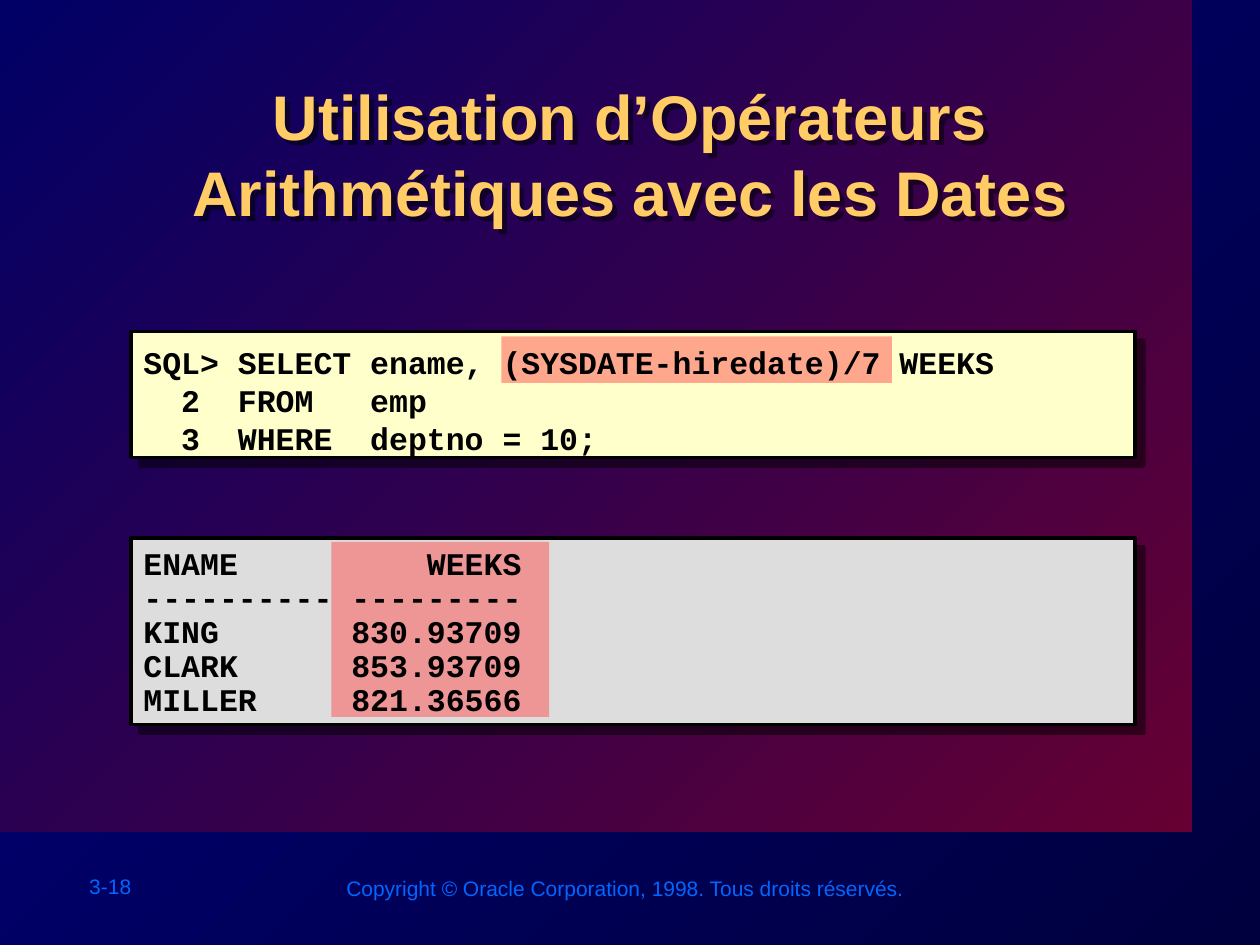
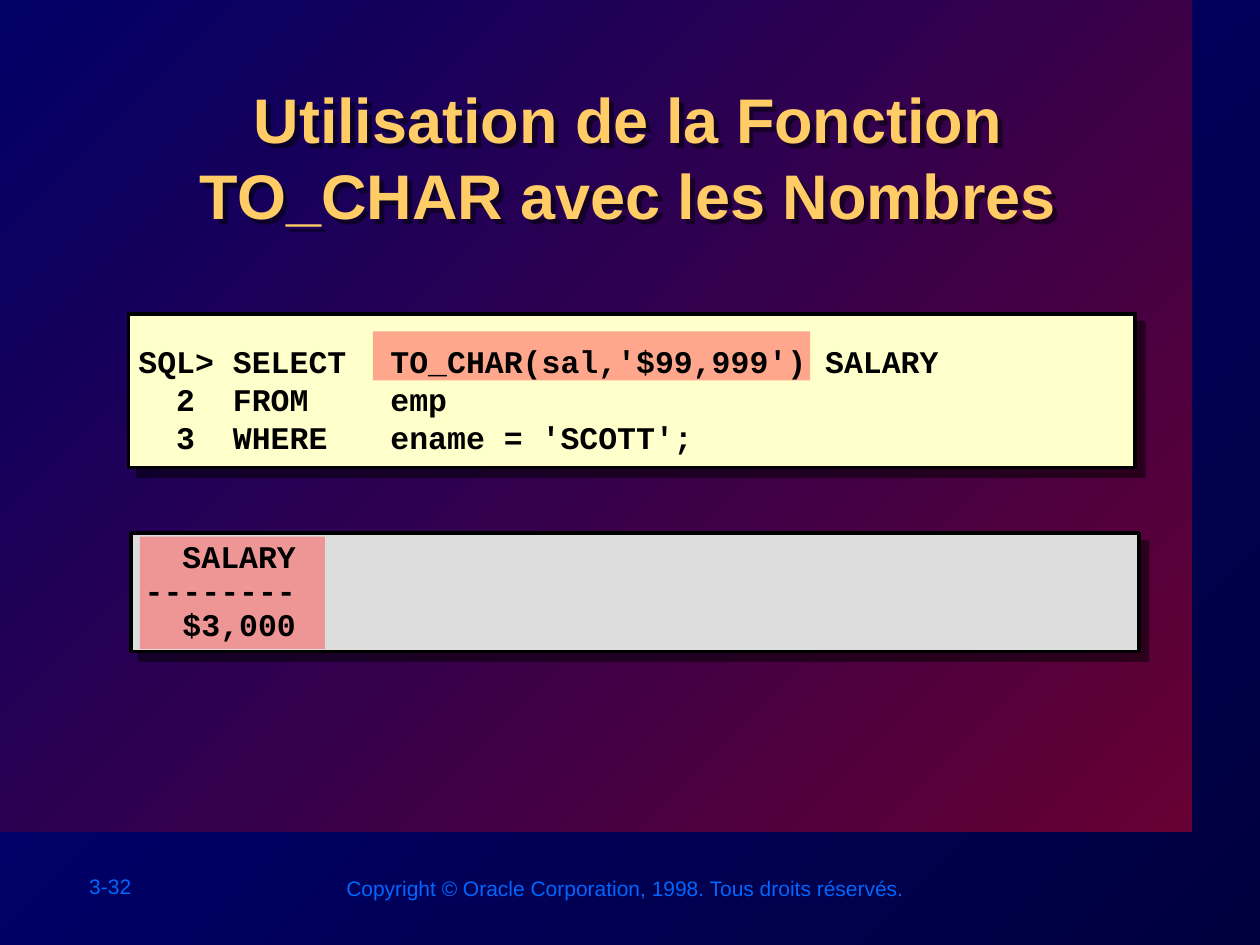
"""Build two SQL course slides: a query above its result, with key parts highlighted."""
from lxml import etree
from pptx import Presentation
from pptx.dml.color import RGBColor
from pptx.enum import shapes, text
from pptx.oxml import ns
from pptx.util import Inches, Pt

NAVY = RGBColor(0x00, 0x00, 0x3F)
BLUE = RGBColor(0x00, 0x00, 0x80)
WINE = RGBColor(0x66, 0x00, 0x33)
INDIGO = RGBColor(0x00, 0x00, 0x66)
FOOTER_BLUE = RGBColor(0x00, 0x66, 0xFF)
GOLD = RGBColor(0xFF, 0xCC, 0x66)
CREAM = RGBColor(0xFF, 0xFF, 0xCC)
GREY = RGBColor(0xDD, 0xDD, 0xDD)
CORAL = RGBColor(0xFF, 0x50, 0x50)
BLACK = RGBColor(0x00, 0x00, 0x00)

COPYRIGHT = "Copyright © Oracle Corporation, 1998. Tous droits réservés."
LINE_HEIGHT = 1.2
SHADOW = (
    '<a:effectLst xmlns:a="http://schemas.openxmlformats.org/drawingml/2006/main">'
    '<a:outerShdw dist="{}" dir="2700000" algn="tl">'
    '<a:srgbClr val="000000"><a:alpha val="50000"/></a:srgbClr>'
    "</a:outerShdw></a:effectLst>"
)

SLIDES = [
    {
        "number": "3-18",
        "title": "Utilisation d’Opérateurs Arithmétiques avec les Dates",
        "title_at": (1.01, 0.57, 7.98, 1.3),
        "query_panel": (1.04, 2.63, 7.97, 1),
        "result_panel": (1.04, 4.27, 7.97, 1.48),
        "highlights": [(3.98, 2.67, 3.1, 0.37), (2.63, 4.3, 1.73, 1.39)],
        "query_at": (1.04, 2.39, 8, 1.57),
        "query": [
            "SQL> SELECT ename, (SYSDATE-hiredate)/7 WEEKS",
            "  2  FROM   emp",
            "  3  WHERE  deptno = 10;",
        ],
        "result_at": (1.04, 4.3, 7.97, 1.45),
        "result": [
            "ENAME          WEEKS",
            "---------- ---------",
            "KING       830.93709",
            "CLARK      853.93709",
            "MILLER     821.36566",
        ],
    },
    {
        "number": "3-32",
        "title": "Utilisation de la Fonction TO_CHAR avec les Nombres",
        "title_at": (0.76, 0.59, 8.45, 1.3),
        "query_panel": (1.02, 2.49, 7.99, 1.22),
        "result_panel": (1.04, 4.23, 8, 0.94),
        "highlights": [(2.96, 2.63, 3.47, 0.39), (1.11, 4.26, 1.47, 0.89)],
        "query_at": (1, 2.38, 8.02, 1.57),
        "query": [
            "SQL> SELECT\tTO_CHAR(sal,'$99,999') SALARY",
            "  2  FROM\temp",
            "  3  WHERE\tename = 'SCOTT';",
        ],
        "result_at": (1.05, 4.24, 7.94, 0.91),
        "result": ["  SALARY", "--------", "  $3,000"],
    },
]


def add_rectangle(slide, place, color=None):
    """Add a rectangle without line or shadow."""
    shape = slide.shapes.add_shape(shapes.MSO_SHAPE.RECTANGLE, *map(Inches, place))
    shape.shadow.inherit = False
    shape.line.fill.background()
    if color is not None:
        shape.fill.solid()
        shape.fill.fore_color.rgb = color
    return shape


def add_text(slide, place, lines, font, size, color, bold=False, spacing=LINE_HEIGHT):
    """Add a wrapping text box with one paragraph for each line."""
    box = slide.shapes.add_textbox(*map(Inches, place))
    frame = box.text_frame
    frame.word_wrap = True
    for index, line in enumerate(lines):
        paragraph = frame.add_paragraph() if index else frame.paragraphs[0]
        if "\t" in line:
            tabs = etree.SubElement(paragraph._p.get_or_add_pPr(), ns.qn("a:tabLst"))
            etree.SubElement(tabs, ns.qn("a:tab"), pos=str(Inches(2)), algn="l")
        paragraph.line_spacing = Pt(size * spacing)
        run = paragraph.add_run()
        run.text = line
        run.font.name = font
        run.font.size = Pt(size)
        run.font.bold = bold
        run.font.color.rgb = color
    return box


presentation = Presentation()
presentation.slide_width = Inches(10)
presentation.slide_height = Inches(7.5)

for content in SLIDES:
    slide = presentation.slides.add_slide(presentation.slide_layouts[6])

    backdrop = add_rectangle(slide, (0, 0, 9.46, 6.6))
    for fill, colors in ((slide.background.fill, (NAVY, BLUE)), (backdrop.fill, (WINE, INDIGO))):
        fill.gradient()
        fill.gradient_angle = 135
        for stop, color, position in zip(fill.gradient_stops, colors, (0, 1)):
            stop.color.rgb = color
            stop.position = position

    add_text(slide, (0.61, 6.88, 1.11, 0.3), [content["number"]], "Arial", 12, FOOTER_BLUE)
    add_text(slide, (2.65, 6.9, 4.8, 0.3), [COPYRIGHT], "Arial", 12, FOOTER_BLUE)

    for name, color in (("query_panel", CREAM), ("result_panel", GREY)):
        panel = add_rectangle(slide, content[name], color)
        panel.line.color.rgb = BLACK
        panel.line.width = Pt(2)
        properties = panel._element.spPr
        properties.remove(properties.find(ns.qn("a:effectLst")))
        properties.append(etree.fromstring(SHADOW.format(Pt(7.1))))

    title = add_text(slide, content["title_at"], [content["title"]], "Arial", 36, GOLD, True)
    title.text_frame.paragraphs[0].alignment = text.PP_ALIGN.CENTER
    title._element.spPr.append(etree.fromstring(SHADOW.format(Pt(4))))

    for place in content["highlights"]:
        highlight = add_rectangle(slide, place, CORAL)
        color_element = highlight._element.spPr.find(".//" + ns.qn("a:srgbClr"))
        etree.SubElement(color_element, ns.qn("a:alpha"), val="50000")

    query = add_text(slide, content["query_at"], content["query"], "Courier New", 18, BLACK, True)
    query.text_frame.vertical_anchor = text.MSO_ANCHOR.MIDDLE
    add_text(slide, content["result_at"], content["result"], "Courier New", 18, BLACK, True,
             0.9 * LINE_HEIGHT)

presentation.save("out.pptx")
